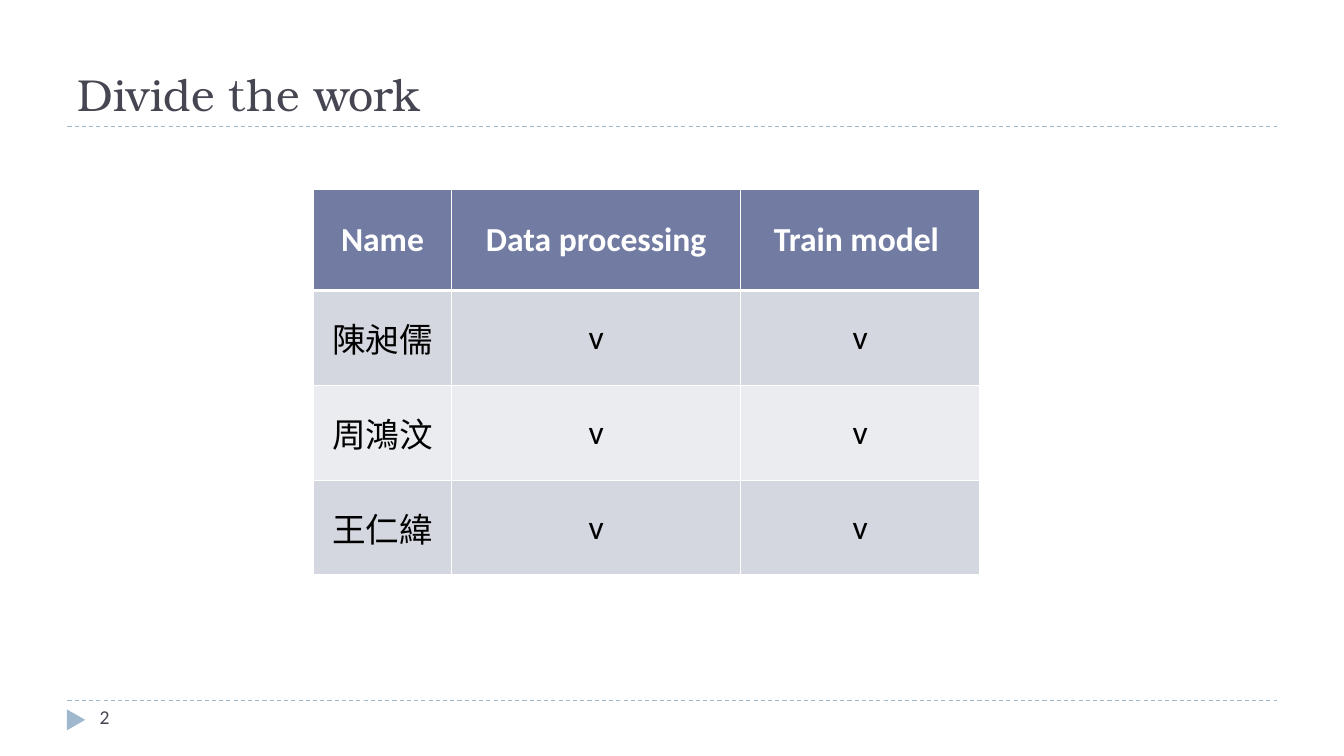
"""Build the slide that shows how the work is divided."""
from typing import NamedTuple

from lxml import etree
from pptx import Presentation
from pptx import util as u
from pptx.dml.color import RGBColor
from pptx.enum import dml, shapes, text
from pptx.oxml import ns

INK = RGBColor(0x46, 0x46, 0x53)
RULE = RGBColor(0x9F, 0xB8, 0xCD)
HEAD = RGBColor(0x72, 0x7C, 0xA3)
BAND = RGBColor(0xD5, 0xD7, 0xE0)
PALE = RGBColor(0xEB, 0xEC, 0xF0)
WHITE = RGBColor(0xFF, 0xFF, 0xFF)
BLACK = RGBColor(0x00, 0x00, 0x00)
SANS = "Calibri"
SERIF = "TeX Gyre Bonum"


class Style(NamedTuple):
    font: str
    size: int
    color: RGBColor
    bold: bool = False


class Row(NamedTuple):
    words: tuple[str, ...]
    fill: RGBColor
    style: Style
    top: int
    base: int


TITLE = Style(SERIF, 32, INK)
PAGE = Style(SANS, 14, INK)
LABEL = Style(SANS, 24, WHITE, True)
BODY = Style(SANS, 24, BLACK)

RULES = (3.18, 17.65)
WIDTHS = (3.48, 7.29, 6.02)
HEIGHTS = (2.54, 2.39, 2.39, 2.39)
ROWS = (
    Row(("Name", "Data processing", "Train model "), HEAD, LABEL, 1, 3),
    Row(("陳昶儒", "v", "v"), BAND, BODY, 3, 1),
    Row(("周鴻汶", "v", "v"), PALE, BODY, 1, 1),
    Row(("王仁緯", "v", "v"), BAND, BODY, 1, 1),
)


def write(frame, words: str, style: Style) -> None:
    """Put styled words in a text frame."""
    frame.text = words
    for run in frame.paragraphs[0].runs:
        run.font.name = style.font
        run.font.size = u.Pt(style.size)
        run.font.bold = style.bold
        run.font.color.rgb = style.color


def draw_rule(slide, top: float) -> None:
    """Draw a dashed line across the slide."""
    line = slide.shapes.add_connector(
        shapes.MSO_CONNECTOR.STRAIGHT, u.Cm(1.7), u.Cm(top), u.Cm(32.18), u.Cm(top))
    line.line.color.rgb = RULE
    line.line.width = u.Pt(0.75)
    line.line.dash_style = dml.MSO_LINE.DASH
    etree.SubElement(line.element.spPr, ns.qn("a:effectLst"))


def edge(cell, row: Row) -> None:
    """Give a cell its white borders."""
    props = cell._tc.get_or_add_tcPr()
    sides = (("L", 1), ("R", 1), ("T", row.top), ("B", row.base))
    for place, (side, width) in enumerate(sides):
        line = etree.Element(ns.qn(f"a:ln{side}"), w=str(u.Pt(width)))
        fill = etree.SubElement(line, ns.qn("a:solidFill"))
        etree.SubElement(fill, ns.qn("a:srgbClr"), val=str(WHITE))
        props.insert(place, line)


def draw_table(slide) -> None:
    """Draw the table of names and tasks."""
    table = slide.shapes.add_table(
        len(ROWS), len(WIDTHS), u.Cm(7.9), u.Cm(4.78),
        u.Cm(sum(WIDTHS)), u.Cm(sum(HEIGHTS))).table
    for column, width in zip(table.columns, WIDTHS):
        column.width = u.Cm(width)
    for line, height, row in zip(table.rows, HEIGHTS, ROWS):
        line.height = u.Cm(height)
        for cell, words in zip(line.cells, row.words):
            write(cell.text_frame, words, row.style)
            cell.text_frame.paragraphs[0].alignment = text.PP_ALIGN.CENTER
            cell.vertical_anchor = text.MSO_ANCHOR.MIDDLE
            cell.fill.solid()
            cell.fill.fore_color.rgb = row.fill
            edge(cell, row)


def draw_title(slide) -> None:
    """Place and format the title."""
    title = slide.shapes.title
    title.left, title.top = u.Cm(1.7), u.Cm(0.43)
    title.width, title.height = u.Cm(30.48), u.Cm(2.74)
    frame = title.text_frame
    write(frame, "Divide the work", TITLE)
    frame.auto_size = text.MSO_AUTO_SIZE.NONE
    frame.vertical_anchor = text.MSO_ANCHOR.BOTTOM
    frame.paragraphs[0].alignment = text.PP_ALIGN.LEFT


def draw_page(slide) -> None:
    """Draw the page number and its marker."""
    mark = slide.shapes.add_shape(
        shapes.MSO_SHAPE.ISOSCELES_TRIANGLE,
        u.Cm(1.65), u.Cm(17.91), u.Cm(0.53), u.Cm(0.46))
    mark.rotation = 90
    mark.shadow.inherit = False
    mark.fill.solid()
    mark.fill.fore_color.rgb = RULE
    mark.line.fill.background()
    box = slide.shapes.add_textbox(u.Cm(2.26), u.Cm(17.65), u.Cm(7.34), u.Cm(1.02))
    box.text_frame.word_wrap = True
    write(box.text_frame, "2", PAGE)


def main() -> None:
    """Build and save the slide."""
    deck = Presentation()
    deck.slide_width, deck.slide_height = u.Cm(33.87), u.Cm(19.05)
    slide = deck.slides.add_slide(deck.slide_layouts[5])
    for top in RULES:
        draw_rule(slide, top)
    draw_title(slide)
    draw_table(slide)
    draw_page(slide)
    deck.save("out.pptx")


if __name__ == "__main__":
    main()
